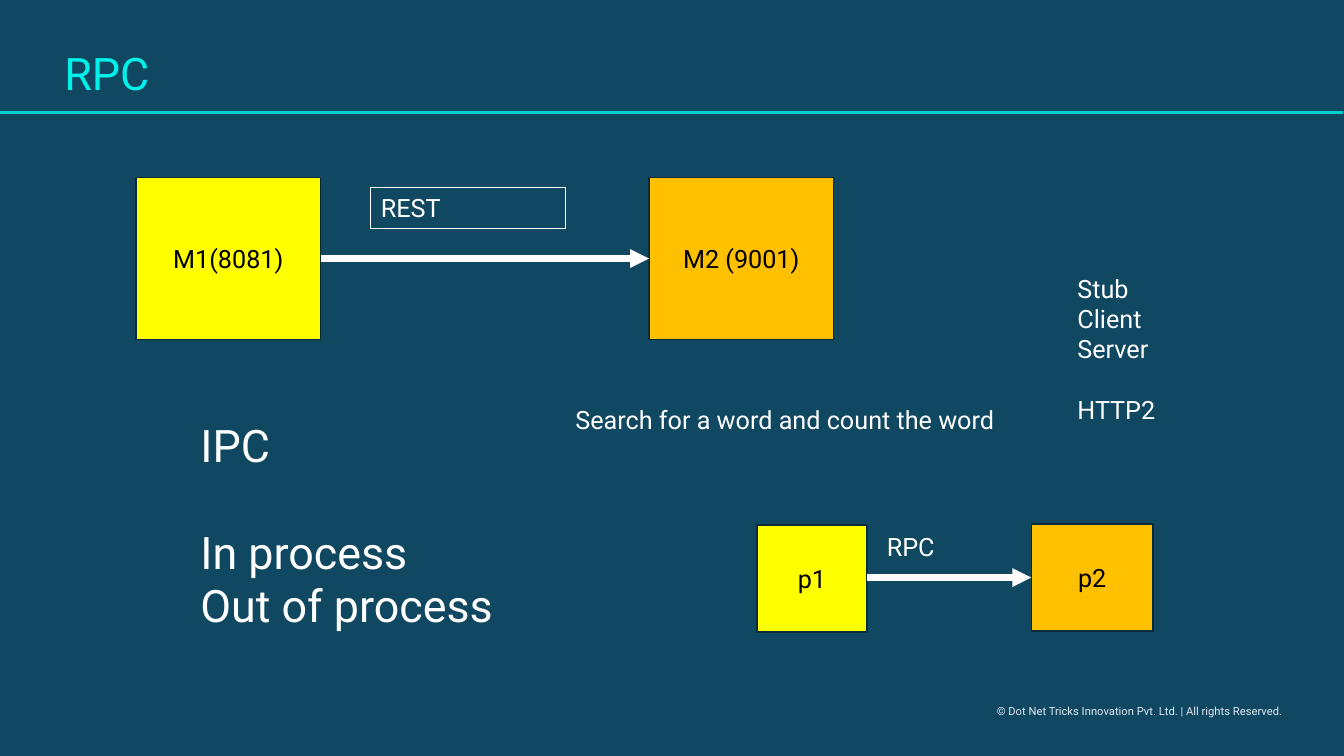
from lxml.etree import SubElement
from pptx import Presentation
from pptx.dml.color import RGBColor
from pptx.enum.shapes import MSO_CONNECTOR, MSO_SHAPE
from pptx.enum.text import MSO_ANCHOR, PP_ALIGN
from pptx.oxml.ns import qn
from pptx.util import Pt

COLORS = {
    "background": "104862",
    "title": "00F0EA",
    "rule": "00D1CF",
    "caller": "FFFF00",
    "callee": "FFC000",
    "border": "092A39",
    "dark": "000000",
    "light": "FFFFFF",
    "footer": "DCEAF7",
}
FONT = "Roboto"


def color(name):
    return RGBColor.from_string(COLORS[name])


def write(p, text, size, ink):
    r = p.add_run()
    r.text = text
    r.font.name = FONT
    r.font.size = Pt(size)
    r.font.color.rgb = color(ink)


def add_text(s, box, lines, size=18, ink="light", gap_before=None, gap=0):
    sp = s.shapes.add_textbox(*map(Pt, box))
    tf = sp.text_frame
    tf.word_wrap = True
    for i, line in enumerate(lines):
        p = tf.paragraphs[0] if i == 0 else tf.add_paragraph()
        write(p, line, size, ink)
        if line == gap_before:
            p.space_before = Pt(gap)
    return sp


def add_line(s, x1, y1, x2, y2, ink, width, arrow=False):
    sp = s.shapes.add_connector(MSO_CONNECTOR.STRAIGHT, Pt(x1), Pt(y1), Pt(x2), Pt(y2))
    sp.line.color.rgb = color(ink)
    sp.line.width = Pt(width)
    if arrow:
        SubElement(sp.line._get_or_add_ln(), qn("a:tailEnd"), type="triangle")
    SubElement(sp._element.spPr, qn("a:effectLst"))


def add_node(s, box, label, fill):
    sp = s.shapes.add_shape(MSO_SHAPE.RECTANGLE, *map(Pt, box))
    sp.shadow.inherit = False
    sp.fill.solid()
    sp.fill.fore_color.rgb = color(fill)
    sp.line.color.rgb = color("border")
    sp.line.width = Pt(1)
    tf = sp.text_frame
    tf.word_wrap = True
    tf.vertical_anchor = MSO_ANCHOR.MIDDLE
    p = tf.paragraphs[0]
    p.alignment = PP_ALIGN.CENTER
    write(p, label, 18, "dark")


def add_header(s, box, title):
    x, y, w, h = box
    sp = add_text(s, (x + 38.9, y + 33.8, w - 84.5, 41.8), [title], 32, "title")
    sp.text_frame.paragraphs[0].line_spacing = 0.9
    add_line(s, x - 0.7, y + h, x + w - 0.7, y + h, "rule", 2)


def add_call(s, box, caller, callee, caller_width, callee_width, protocol,
             label_box, callee_rise=0, framed=False):
    x, y, w, h = box
    callee_x = x + w - callee_width
    add_node(s, (x, y, caller_width, h), caller, "caller")
    add_node(s, (callee_x, y - callee_rise, callee_width, h), callee, "callee")
    middle = y + h / 2 - callee_rise
    add_line(s, x + caller_width, middle, callee_x, middle, "light", 4.5, arrow=True)
    dx, dy, label_w, label_h = label_box
    sp = add_text(s, (x + caller_width + dx, y + dy, label_w, label_h), [protocol])
    if framed:
        sp.line.color.rgb = color("light")
        sp.line.width = Pt(0.75)


def main():
    prs = Presentation()
    prs.slide_width, prs.slide_height = Pt(960), Pt(540)
    s = prs.slides.add_slide(prs.slide_layouts[6])
    s.background.fill.solid()
    s.background.fill.fore_color.rgb = color("background")

    add_header(s, (0, 0, 960, 80.6), "RPC")
    add_call(s, (97.2, 126.7, 498.2, 115.9), "M1(8081)", "M2 (9001)", 131.8, 131.8,
             "REST", (36, 7.2, 139, 29.1), framed=True)
    add_text(s, (136.1, 294.5, 314.6, 162.7), ["IPC", "In process", "Out of process"],
             32, gap_before="In process", gap=38)
    add_text(s, (403.9, 285.1, 358.6, 29.1), ["Search for a word and count the word"])
    add_call(s, (540.7, 375.1, 283, 76.3), "p1", "p2", 78.5, 87.1,
             "RPC", (7.2, 0.7, 76.3, 29.1), callee_rise=0.7)
    add_text(s, (762.5, 191.5, 145.4, 116.6), ["Stub", "Client", "Server", "HTTP2"],
             gap_before="HTTP2", gap=21.5)
    add_text(s, (704.9, 499.7, 219.6, 17.3),
             ["© Dot Net Tricks Innovation Pvt. Ltd. | All rights Reserved."], 8, "footer")

    prs.save("out.pptx")


if __name__ == "__main__":
    main()
